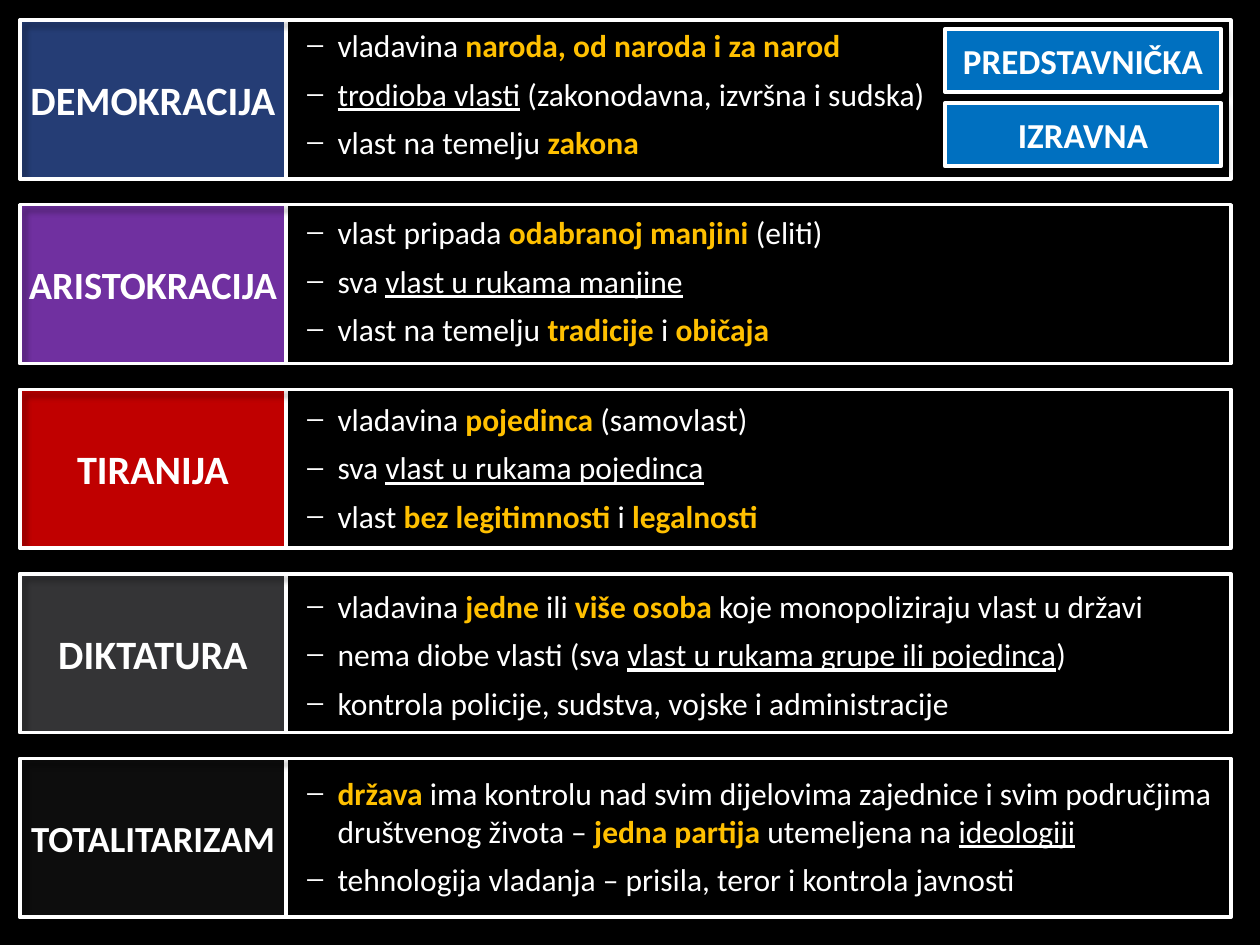
from lxml.etree import SubElement
from pptx import Presentation
from pptx.dml.color import RGBColor
from pptx.enum.shapes import MSO_SHAPE
from pptx.enum.text import MSO_ANCHOR, PP_ALIGN
from pptx.oxml.ns import qn
from pptx.util import Emu, Inches, Pt

WIDTH, HEIGHT = 10, 7.5
MARGIN = 0.16
ROW_WIDTH, ROW_HEIGHT, ROW_PITCH = 9.61, 1.26, 1.465
LABEL_WIDTH = 2.11
TEXT_LEFT, TEXT_WIDTH, TEXT_HEIGHT, TEXT_PITCH = 2.34, 7.48, 1.18, 1.483
WHITE, GOLD, BLUE = "FFFFFF", "FFC000", "0070C0"

# In the points, "|" parts the runs, "*" opens a bold gold run and "_" an underlined one.
REGIMES = [
    ("DEMOKRACIJA", 23, "253D75", [
        "vladavina |*naroda, od naroda i za narod",
        "_trodioba vlasti| (zakonodavna, izvršna i sudska)",
        "vlast na temelju |*zakona",
    ]),
    ("ARISTOKRACIJA", 22, "7030A0", [
        "vlast pripada |*odabranoj manjini |(eliti)",
        "sva |_vlast u rukama manjine",
        "vlast na temelju |*tradicije| i |*običaja",
    ]),
    ("TIRANIJA", 23, "C00000", [
        "vladavina |*pojedinca| (samovlast)",
        "sva |_vlast u rukama pojedinca",
        "vlast |*bez legitimnosti| i |*legalnosti",
    ]),
    ("DIKTATURA", 23, "343436", [
        "vladavina |*jedne |ili|* više osoba |koje monopoliziraju vlast u državi",
        "nema diobe vlasti (sva |_vlast u rukama grupe ili pojedinca|)",
        "kontrola policije, sudstva, vojske i administracije",
    ]),
    ("TOTALITARIZAM", 21, "0D0D0D", [
        "*država| ima kontrolu nad svim dijelovima zajednice i svim područjima "
        "društvenog života – |*jedna partija |utemeljena na |_ideologiji",
        "tehnologija vladanja – prisila, teror i kontrola javnosti",
    ]),
]
FORMS = ["PREDSTAVNIČKA", "IZRAVNA"]


def color(value):
    """Turn a hex string into a colour."""
    return RGBColor.from_string(value)


def style_run(span, size, value, bold=False, underline=False):
    """Give a run its font, size, colour and emphasis."""
    font = span.font
    font.name, font.size = "Calibri", Pt(size)
    font.bold, font.underline = bold, underline
    font.color.rgb = color(value)


def add_shadow(shape):
    """Cast a soft dark shadow down and to the right."""
    shape.shadow.inherit = False
    effects = shape._element.spPr.find(qn("a:effectLst"))
    shadow = SubElement(effects, qn("a:outerShdw"), blurRad=str(Pt(4)), dist=str(Pt(3)),
                        dir="2700000", algn="tl", rotWithShape="0")
    shade = SubElement(shadow, qn("a:srgbClr"), val="000000")
    SubElement(shade, qn("a:alpha"), val="40000")


def add_panel(page, box, fill=None, line_width=2):
    """Draw a white-edged rectangle, filled or open."""
    panel = page.shapes.add_shape(MSO_SHAPE.RECTANGLE, *map(Inches, box))
    if fill:
        panel.fill.solid()
        panel.fill.fore_color.rgb = color(fill)
    else:
        panel.fill.background()
    panel.line.color.rgb = color(WHITE)
    panel.line.width = Pt(line_width)
    add_shadow(panel)
    return panel


def add_label(page, box, text, size, fill, line_width=2, wrap=False):
    """Draw a filled panel with a bold centred caption."""
    frame = add_panel(page, box, fill, line_width).text_frame
    frame.word_wrap = wrap
    frame.vertical_anchor = MSO_ANCHOR.MIDDLE
    frame.text = text
    para = frame.paragraphs[0]
    para.alignment = PP_ALIGN.CENTER
    style_run(para.runs[0], size, WHITE, bold=True)


def add_dash(para):
    """Hang a paragraph behind a white dash."""
    para.space_before = Pt(6)
    properties = para._p.get_or_add_pPr()
    indent = Inches(0.24)
    properties.set("marL", str(indent))
    properties.set("indent", str(Emu(-indent)))
    bullet_color = SubElement(properties, qn("a:buClr"))
    SubElement(bullet_color, qn("a:srgbClr"), val=WHITE)
    SubElement(properties, qn("a:buFont"), typeface="Calibri")
    SubElement(properties, qn("a:buChar"), char="─")


def add_points(page, box, points):
    """Write the dashed points of one regime."""
    frame = page.shapes.add_textbox(*map(Inches, box)).text_frame
    frame.word_wrap = True
    for index, point in enumerate(points):
        para = frame.add_paragraph() if index else frame.paragraphs[0]
        add_dash(para)
        for piece in point.split("|"):
            bold, underline = piece.startswith("*"), piece.startswith("_")
            span = para.add_run()
            span.text = piece[1:] if bold or underline else piece
            style_run(span, 18, GOLD if bold else WHITE, bold, underline)


def add_regime(page, box, text_top, regime):
    """Lay out one row: label, points and frame."""
    left, top, width, height = box
    name, size, fill, points = regime
    add_label(page, (left, top, LABEL_WIDTH, height), name, size, fill)
    add_points(page, (TEXT_LEFT, text_top, TEXT_WIDTH, TEXT_HEIGHT), points)
    add_panel(page, box)


def add_forms(page, box, pitch):
    """Stack the forms of democracy downwards from the given box."""
    left, top, width, height = box
    for index, name in enumerate(FORMS):
        place = (left, top + index * pitch, width, height)
        add_label(page, place, name, 20, BLUE, line_width=2.25, wrap=True)


def main():
    """Build the slide and save it."""
    deck = Presentation()
    deck.slide_width, deck.slide_height = Inches(WIDTH), Inches(HEIGHT)
    page = deck.slides.add_slide(deck.slide_layouts[6])
    page.background.fill.solid()
    page.background.fill.fore_color.rgb = color("000000")
    for index, regime in enumerate(REGIMES):
        box = (MARGIN, MARGIN + index * ROW_PITCH, ROW_WIDTH, ROW_HEIGHT)
        add_regime(page, box, MARGIN + index * TEXT_PITCH, regime)
    add_forms(page, (7.5, 0.23, 2.19, 0.5), 0.59)
    deck.save("out.pptx")


if __name__ == "__main__":
    main()
